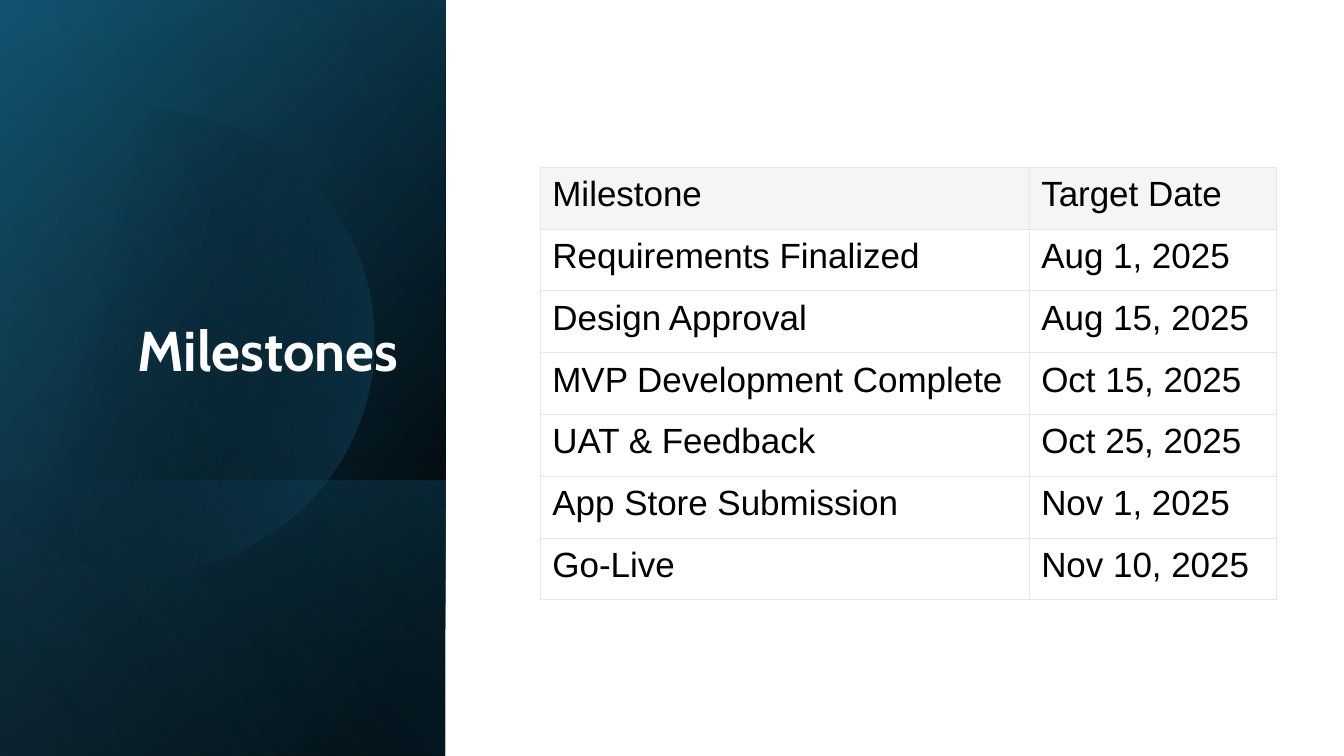
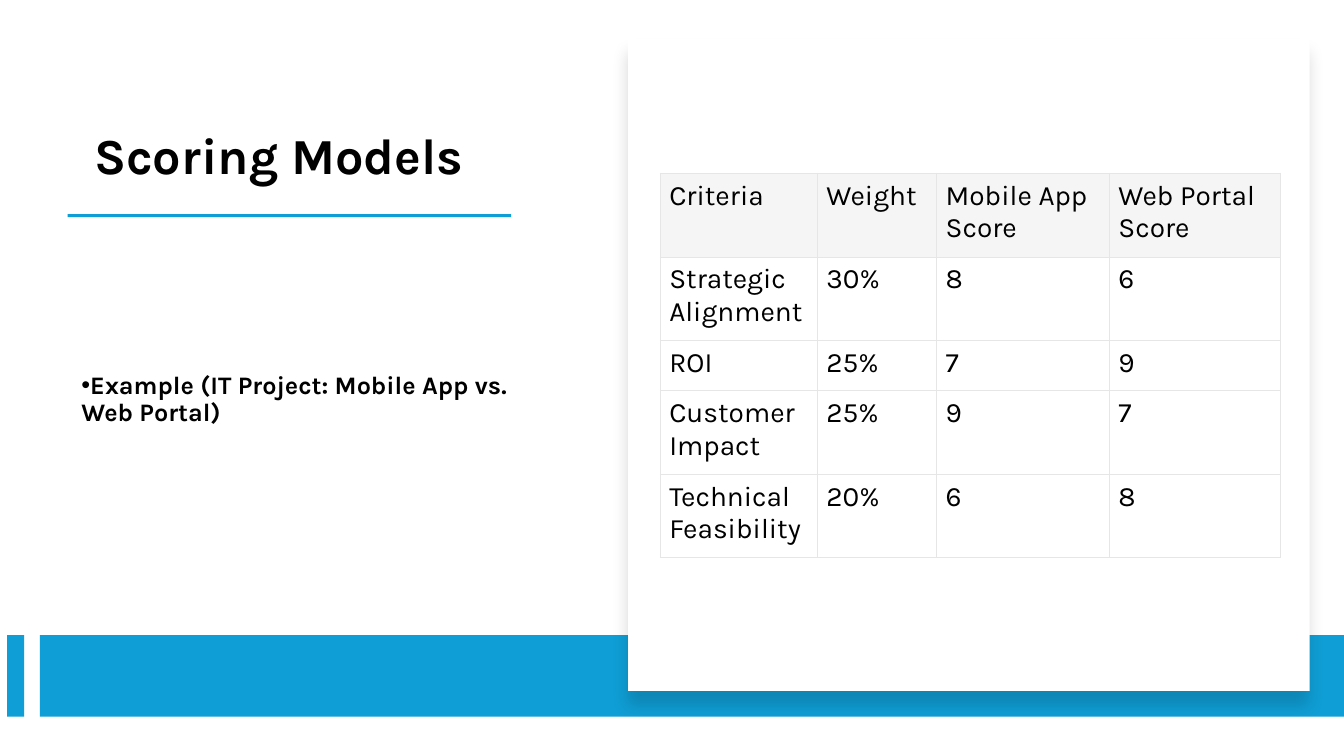
"""Build the milestones and scoring model slides."""
from dataclasses import dataclass
from math import acos, cos, pi, sin

from lxml import etree
from pptx import Presentation
from pptx.dml.color import RGBColor
from pptx.enum import shapes, text
from pptx.oxml import ns
from pptx.util import Pt

BLACK, WHITE = "000000", "FFFFFF"
BLUE, TEAL, NAVY, SKY = "0F9ED5", "156082", "104862", "46B1E1"
HEADER_GREY, BORDER_GREY = "F5F5F5", "E6E6E6"
WIDTH, HEIGHT = 960, 540
PANEL_WIDTH = 318.2
BAR_TOP, BAR_HEIGHT = 453.6, 58.4


@dataclass(frozen=True)
class Box:
    left: float
    top: float
    width: float
    height: float

    def lengths(self) -> tuple:
        return tuple(Pt(v) for v in (self.left, self.top, self.width, self.height))


@dataclass(frozen=True)
class Stop:
    percent: float
    color: str
    opacity: int = 100


@dataclass(frozen=True)
class Gradient:
    box: Box
    angle: float
    start: Stop
    end: Stop


@dataclass(frozen=True)
class TextStyle:
    font: str
    size: float
    color: str = BLACK
    bold: bool = False
    align: text.PP_ALIGN = text.PP_ALIGN.LEFT
    anchor: text.MSO_ANCHOR = text.MSO_ANCHOR.BOTTOM


@dataclass(frozen=True)
class Grid:
    left: float
    top: float
    widths: tuple
    heights: tuple
    insets: tuple
    style: TextStyle
    rows: tuple


PANEL = Box(0, 0, PANEL_WIDTH, HEIGHT)
PANEL_LAYERS = (
    Gradient(PANEL, 220, Stop(8, BLACK), Stop(100, NAVY)),
    Gradient(PANEL, 240, Stop(0, BLACK, 0), Stop(99, TEAL, 46)),
    Gradient(Box(0, 343, PANEL_WIDTH, HEIGHT - 343), 140,
             Stop(2, TEAL, 29), Stop(100, BLACK, 30)),
)
DISC = Gradient(Box(-62.6, 78.5, 329.8, 329.8), 14, Stop(29, BLACK, 0), Stop(100, TEAL, 43))
PANEL_GLOW = Gradient(PANEL, 150, Stop(0, BLACK, 0), Stop(99, SKY, 11))

MILESTONES = Grid(
    386, 119.4, (349.2, 176.2), (44.15,) * 7, (8.6, 5.8, 5.8, 5), TextStyle("Arial", 25),
    (("Milestone", "Target Date"),
     ("Requirements Finalized", "Aug 1, 2025"),
     ("Design Approval", "Aug 15, 2025"),
     ("MVP Development Complete", "Oct 15, 2025"),
     ("UAT & Feedback", "Oct 25, 2025"),
     ("App Store Submission", "Nov 1, 2025"),
     ("Go-Live", "Nov 10, 2025")))
SCORES = Grid(
    471.6, 123.8, (112.2, 85.2, 123.4, 122.2), (59.8, 59.8, 35.8, 59.8, 59.4),
    (6.5, 4.3, 4.3, 3.6), TextStyle("Karla", 20),
    (("Criteria", "Weight", "Mobile App Score", "Web Portal Score"),
     ("Strategic Alignment", "30%", "8", "6"),
     ("ROI", "25%", "7", "9"),
     ("Customer Impact", "25%", "9", "7"),
     ("Technical Feasibility", "20%", "6", "8")))


def rgb(color: str) -> RGBColor:
    """Turn a hex string into a colour."""
    return RGBColor.from_string(color)


def add_child(parent, tag: str, **attrs):
    """Append a drawing element with the given attributes."""
    return etree.SubElement(parent, ns.qn(tag), {k: str(v) for k, v in attrs.items()})


def add_rect(slide, box: Box, color: str = WHITE):
    """Draw a plain filled rectangle."""
    sp = slide.shapes.add_shape(shapes.MSO_SHAPE.RECTANGLE, *box.lengths())
    sp.shadow.inherit = False
    sp.fill.solid()
    sp.fill.fore_color.rgb = rgb(color)
    sp.line.fill.background()
    return sp


def fill_gradient(sp, gradient: Gradient) -> None:
    """Give a shape a linear gradient with a clockwise angle."""
    stops = (gradient.start, gradient.end)
    sp.fill.gradient()
    sp.fill.gradient_angle = 360 - gradient.angle
    for target, stop in zip(sp.fill.gradient_stops, stops):
        target.position = stop.percent / 100
        target.color.rgb = rgb(stop.color)
    for clr, stop in zip(sp._element.spPr.iter(ns.qn("a:srgbClr")), stops):
        add_child(clr, "a:alpha", val=stop.opacity * 1000)


def add_disc(slide, disc: Gradient, steps: int = 90) -> None:
    """Draw a disc cut off by the left edge of the slide."""
    radius = disc.box.width / 2
    cx, cy = disc.box.left + radius, disc.box.top + radius
    limit = pi - acos(cx / radius)
    angles = [limit * (2 * i / steps - 1) for i in range(steps + 1)]
    points = [(Pt(cx + radius * cos(a)), Pt(cy + radius * sin(a))) for a in angles]
    builder = slide.shapes.build_freeform(*points[0])
    builder.add_line_segments(points[1:], close=True)
    sp = builder.convert_to_shape()
    sp.shadow.inherit = False
    sp.line.fill.background()
    fill_gradient(sp, disc)


def add_shadow(sp, blur: float, distance: float, opacity: int) -> None:
    """Add a soft shadow below a shape."""
    effects = sp._element.spPr.find(ns.qn("a:effectLst"))
    shadow = add_child(effects, "a:outerShdw", blurRad=Pt(blur), dist=Pt(distance),
                       dir=5400000, algn="t", rotWithShape=0)
    clr = add_child(shadow, "a:srgbClr", val=BLACK)
    add_child(clr, "a:alpha", val=opacity * 1000)


def style_runs(p, style: TextStyle) -> None:
    """Format the runs of a paragraph."""
    p.alignment = style.align
    for r in p.runs:
        r.font.name = style.font
        r.font.size = Pt(style.size)
        r.font.bold = style.bold
        r.font.color.rgb = rgb(style.color)


def fill_placeholder(sp, box: Box, content: str, style: TextStyle):
    """Move a placeholder to the front, fill it and return its paragraph."""
    sp.left, sp.top, sp.width, sp.height = box.lengths()
    sp._element.getparent().append(sp._element)
    tf = sp.text_frame
    tf.text = content
    tf.word_wrap = True
    tf.auto_size = text.MSO_AUTO_SIZE.NONE
    tf.vertical_anchor = style.anchor
    p = tf.paragraphs[0]
    p.line_spacing = 0.9
    p.space_before = Pt(0)
    style_runs(p, style)
    return p


def add_bullet(p) -> None:
    """Give a paragraph a hanging bullet."""
    p_pr = p._p.get_or_add_pPr()
    p_pr.set("marL", "0")
    p_pr.set("indent", str(-Pt(18)))
    add_child(p_pr, "a:buFont", typeface="Arial")
    add_child(p_pr, "a:buChar", char="•")


def set_borders(cell) -> None:
    """Draw thin grey borders around a table cell."""
    tc_pr = cell._tc.get_or_add_tcPr()
    for index, side in enumerate("LRTB"):
        ln = etree.Element(ns.qn(f"a:ln{side}"), {"w": str(Pt(0.5))})
        add_child(add_child(ln, "a:solidFill"), "a:srgbClr", val=BORDER_GREY)
        tc_pr.insert(index, ln)


def add_grid(slide, grid: Grid) -> None:
    """Draw a bordered table with a grey header row."""
    box = Box(grid.left, grid.top, sum(grid.widths), sum(grid.heights))
    table = slide.shapes.add_table(len(grid.heights), len(grid.widths), *box.lengths()).table
    table.first_row = table.horz_banding = False
    for column, width in zip(table.columns, grid.widths):
        column.width = Pt(width)
    for i, (row, height, values) in enumerate(zip(table.rows, grid.heights, grid.rows)):
        row.height = Pt(height)
        for cell, value in zip(row.cells, values):
            cell.text_frame.text = value
            style_runs(cell.text_frame.paragraphs[0], grid.style)
            (cell.margin_left, cell.margin_top,
             cell.margin_right, cell.margin_bottom) = map(Pt, grid.insets)
            if i == 0:
                cell.fill.solid()
                cell.fill.fore_color.rgb = rgb(HEADER_GREY)
            else:
                cell.fill.background()
            set_borders(cell)


def build_milestones(prs) -> None:
    """Build the milestones slide."""
    slide = prs.slides.add_slide(prs.slide_layouts[5])
    for layer in PANEL_LAYERS:
        fill_gradient(add_rect(slide, layer.box), layer)
    add_disc(slide, DISC)
    fill_gradient(add_rect(slide, PANEL_GLOW.box), PANEL_GLOW)
    fill_placeholder(slide.shapes.title, Box(46, 132.4, 245.6, 145), "Milestones",
                     TextStyle("Cabin", 40, WHITE, True, text.PP_ALIGN.RIGHT))
    add_grid(slide, MILESTONES)


def build_scoring(prs) -> None:
    """Build the scoring models slide."""
    slide = prs.slides.add_slide(prs.slide_layouts[1])
    fill_placeholder(slide.shapes.title, Box(60, 41.8, 328, 94.4), "Scoring Models",
                     TextStyle("Karla", 36, bold=True))
    add_rect(slide, Box(48.4, 153, 316.8, 2.2), BLUE)
    p = fill_placeholder(slide.placeholders[1], Box(51, 147.5, 337, 276.4),
                         "Example (IT Project: Mobile App vs. Web Portal)",
                         TextStyle("Karla", 18, bold=True, anchor=text.MSO_ANCHOR.MIDDLE))
    add_bullet(p)
    for left, right in ((5.2, 17.4), (28.4, WIDTH)):
        add_rect(slide, Box(left, BAR_TOP, right - left, BAR_HEIGHT), BLUE)
    card = add_rect(slide, Box(448.6, 28, 486.8, 465.6))
    add_shadow(card, blur=11, distance=10, opacity=15)
    add_grid(slide, SCORES)


def main() -> None:
    """Build and save the presentation."""
    prs = Presentation()
    prs.slide_width, prs.slide_height = Pt(WIDTH), Pt(HEIGHT)
    build_milestones(prs)
    build_scoring(prs)
    prs.save("out.pptx")


if __name__ == "__main__":
    main()
